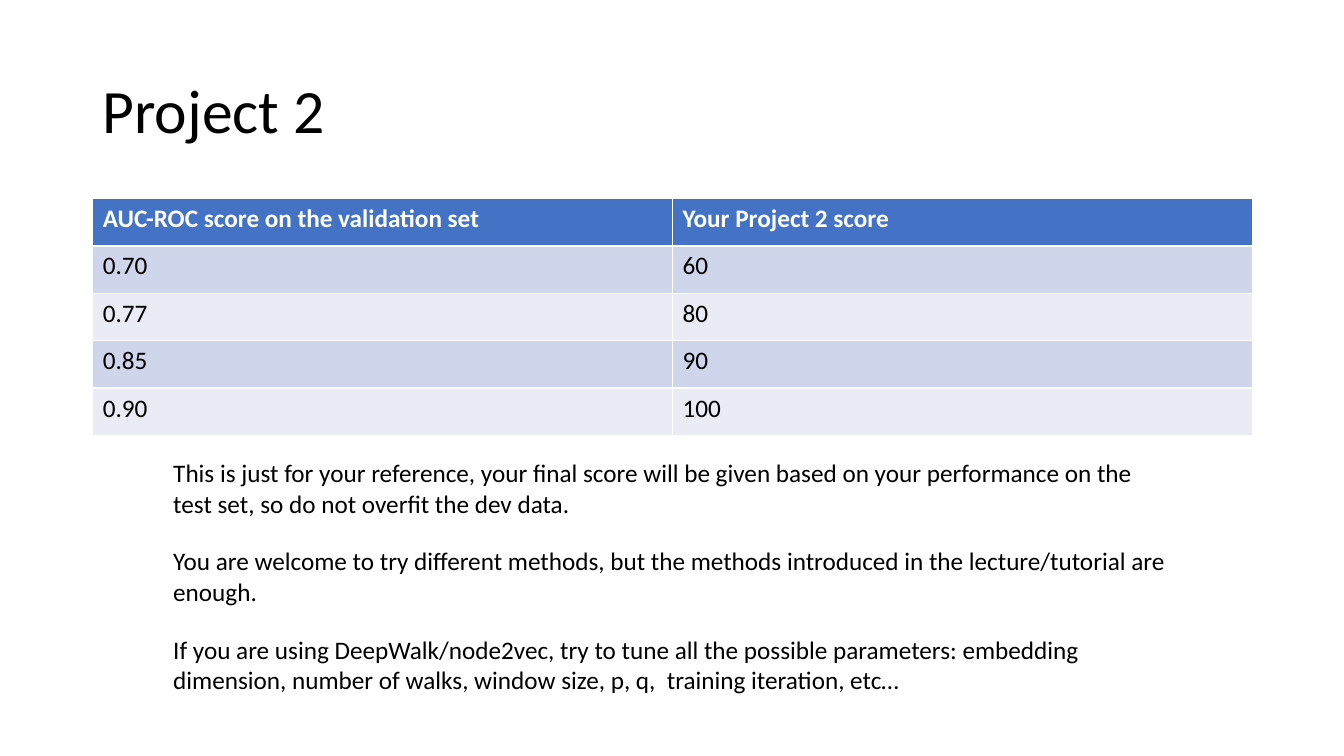
from pptx import Presentation
from pptx.dml.color import RGBColor
from pptx.enum.text import MSO_ANCHOR
from pptx.util import Inches, Pt

TITLE = "Project 2"
SCORES = [
    ("AUC-ROC score on the validation set", "Your Project 2 score"),
    ("0.70", "60"),
    ("0.77", "80"),
    ("0.85", "90"),
    ("0.90", "100"),
]
NOTES = [
    "This is just for your reference, your final score will be given based on "
    "your performance on the test set, so do not overfit the dev data.",
    "You are welcome to try different methods, but the methods introduced in "
    "the lecture/tutorial are enough.",
    "If you are using DeepWalk/node2vec, try to tune all the possible "
    "parameters: embedding dimension, number of walks, window size, p, q,  "
    "training iteration, etc…",
]
FONT = "Calibri"
BLACK, WHITE, HEADER = "000000", "FFFFFF", "4472C4"
BANDS = ["E9EBF5", "CFD5EA"]
LEFT, WIDTH = 0.92, 11.5
ROW_H = 0.47
NOTE_TOP, NOTE_STEP = 4.49, 0.875


def rgb(color):
    return RGBColor.from_string(color)


def write(tf, text, size=18, color=BLACK, bold=False):
    p = tf.paragraphs[0]
    p.text = text
    p.font.name = FONT
    p.font.size = Pt(size)
    p.font.bold = bold
    p.font.color.rgb = rgb(color)
    return p


def add_text(s, text, left, top, width, height, size=18):
    tf = s.shapes.add_textbox(Inches(left), Inches(top),
                              Inches(width), Inches(height)).text_frame
    tf.word_wrap = True
    write(tf, text, size)
    return tf


prs = Presentation()
prs.slide_width, prs.slide_height = Inches(13.33), Inches(7.5)
s = prs.slides.add_slide(prs.slide_layouts[6])

# Title
title = add_text(s, TITLE, LEFT, 0.4, WIDTH, 1.45, 44)
title.vertical_anchor = MSO_ANCHOR.MIDDLE
title.paragraphs[0].line_spacing = 0.9

# Score table; white borders come from the default table style
table = s.shapes.add_table(len(SCORES), len(SCORES[0]), Inches(LEFT), Inches(1.97),
                           Inches(WIDTH), Inches(ROW_H * len(SCORES))).table
for i, row in enumerate(SCORES):
    for j, text in enumerate(row):
        cell = table.cell(i, j)
        head = i == 0
        cell.fill.solid()
        cell.fill.fore_color.rgb = rgb(HEADER if head else BANDS[i % 2])
        write(cell.text_frame, text, color=WHITE if head else BLACK, bold=head)

# Notes below the table
for i, note in enumerate(NOTES):
    add_text(s, note, 1.62, NOTE_TOP + i * NOTE_STEP, 10.1, 0.71)

prs.save("out.pptx")
